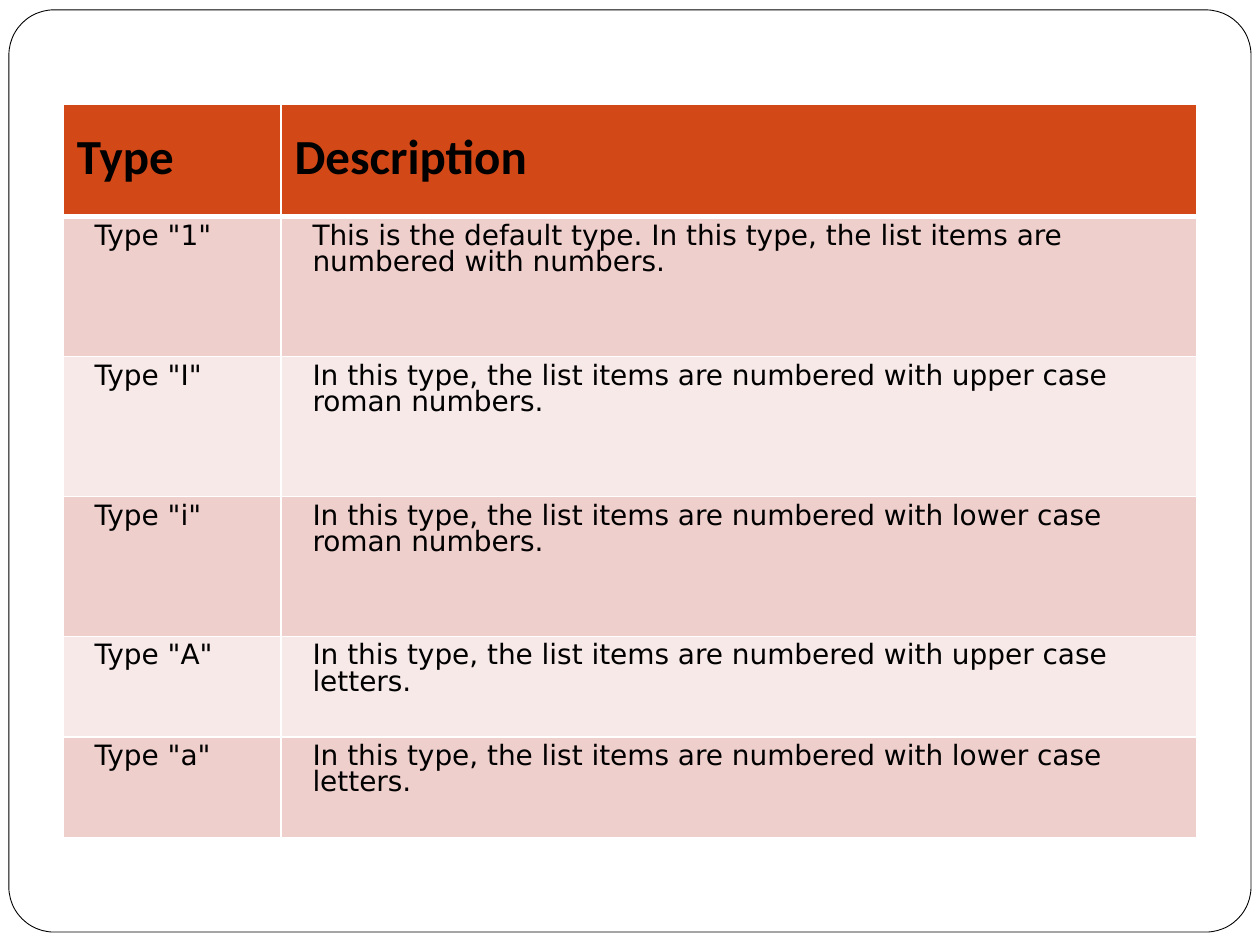
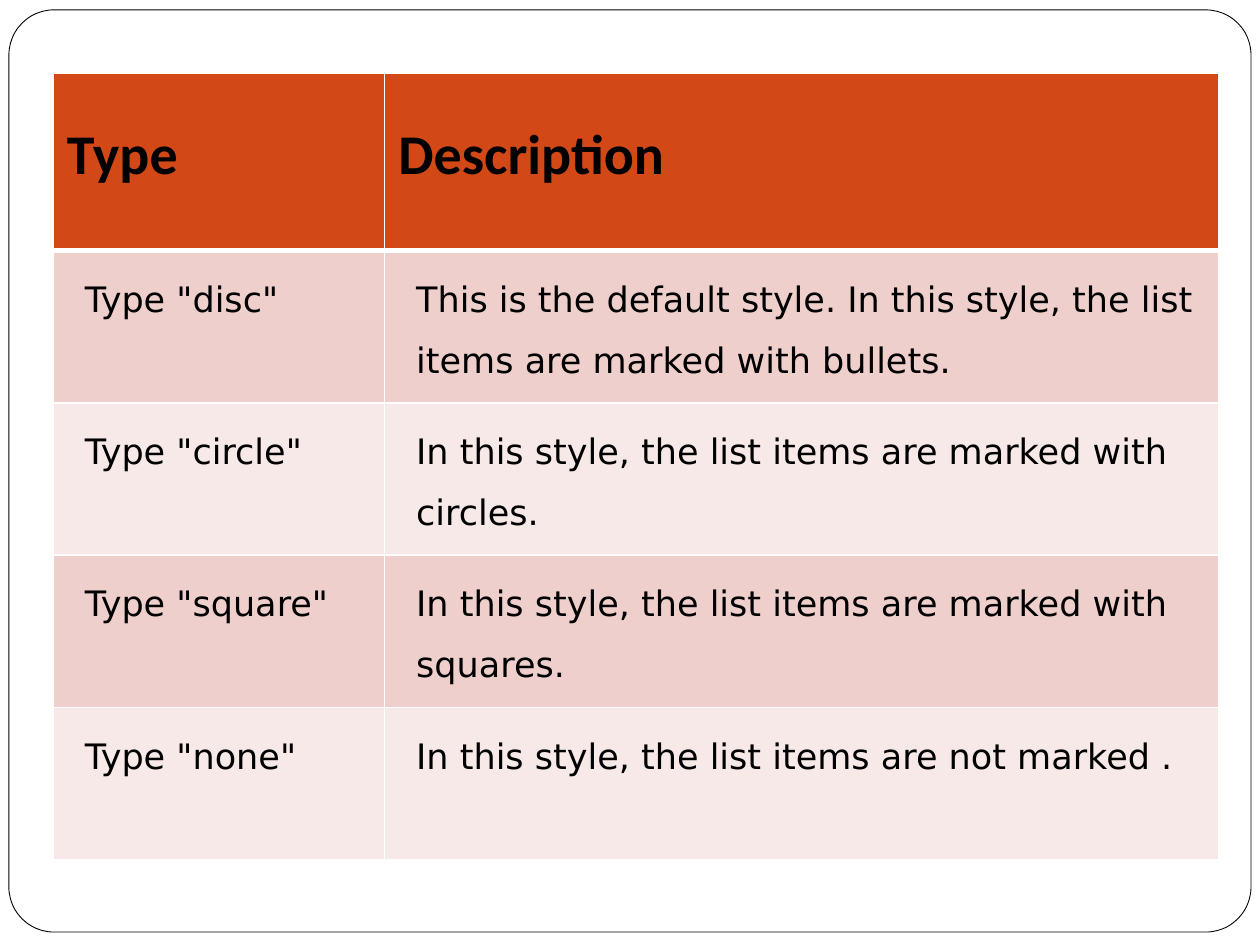
"""Build two slides of tables that describe the types of HTML lists."""
from lxml.etree import SubElement
from pptx import Presentation
from pptx.dml.color import RGBColor
from pptx.enum.shapes import MSO_SHAPE
from pptx.enum.text import MSO_ANCHOR
from pptx.oxml.ns import qn
from pptx.util import Cm, Pt

COLOURS = {"paper": "FFFFFF", "ink": "000000", "header": "D34817",
           "bands": ("EFCFCC", "F7E9E8")}
HEADINGS = ("Type", "Description")
HEADER_INSET, BODY_INSET, BODY_INDENT = Cm(0.28), Cm(0.18), Cm(0.46)
THIN, THICK = Pt(1), Pt(3)


def colour(value):
    """Turn a hex string into a colour."""
    return RGBColor.from_string(value)


def apply(target, values):
    """Set every attribute named in a dict of values."""
    for name, value in values.items():
        setattr(target, name, value)


class ListDeck:
    """Hold the deck, its style and the current slide."""

    def __init__(self):
        """Start an empty deck of the right size."""
        self.deck = Presentation()
        apply(self.deck, {"slide_width": Cm(25.4), "slide_height": Cm(19.05)})
        self.slide = None

    def page(self):
        """Open a new slide with the rounded frame."""
        self.slide = self.deck.slides.add_slide(self.deck.slide_layouts[6])
        frame = self.slide.shapes.add_shape(
            MSO_SHAPE.ROUNDED_RECTANGLE, Cm(0.18), Cm(0.2), Cm(25.04), Cm(18.59))
        frame.adjustments[0] = 0.049
        frame.shadow.inherit = False
        frame.fill.solid()
        frame.fill.fore_color.rgb = colour(COLOURS["paper"])
        frame.line.color.rgb = colour(COLOURS["ink"])
        frame.line.width = Pt(0.5)

    def borders(self, cell, top, bottom):
        """Draw the four white borders of a cell."""
        properties = cell._tc.get_or_add_tcPr()
        widths = {"lnL": THIN, "lnR": THIN, "lnT": top, "lnB": bottom}
        for side, width in widths.items():
            line = SubElement(properties, qn(f"a:{side}"), w=str(width))
            fill = SubElement(line, qn("a:solidFill"))
            SubElement(fill, qn("a:srgbClr"), val=COLOURS["paper"])

    def cell(self, cell, text, fill, inset, font, spacing, indent=0):
        """Fill one table cell with formatted text."""
        sides = ("left", "right", "top", "bottom")
        apply(cell, {f"margin_{side}": inset for side in sides})
        cell.vertical_anchor = MSO_ANCHOR.TOP
        cell.fill.solid()
        cell.fill.fore_color.rgb = colour(fill)
        para = cell.text_frame.paragraphs[0]
        apply(para, {"line_spacing": spacing, "space_after": Pt(10)})
        para._p.get_or_add_pPr().set("marL", str(indent))
        span = para.add_run()
        span.text = text
        apply(span.font, font)
        span.font.color.rgb = colour(COLOURS["ink"])

    def table(self, left, top, widths, heights, entries, sizes, spacings):
        """Add a table with a header row and banded body rows."""
        table = self.slide.shapes.add_table(
            len(heights), len(widths), Cm(left), Cm(top),
            Cm(sum(widths)), Cm(sum(heights))).table
        table.horz_banding = False
        for column, width in zip(table.columns, widths):
            column.width = Cm(width)
        for row, height in zip(table.rows, heights):
            row.height = Cm(height)
        header = {"fill": COLOURS["header"], "inset": HEADER_INSET,
                  "font": {"name": "Calibri", "size": Pt(sizes[0]), "bold": True},
                  "spacing": spacings[0]}
        body = {"inset": BODY_INSET, "indent": BODY_INDENT,
                "font": {"name": "DejaVu Sans", "size": Pt(sizes[1]), "bold": False},
                "spacing": spacings[1]}
        for index, texts in enumerate([HEADINGS, *entries]):
            band = COLOURS["bands"][(index - 1) % 2]
            style = {**body, "fill": band} if index else header
            for column, text in enumerate(texts):
                cell = table.cell(index, column)
                self.borders(cell, THICK if index == 1 else THIN,
                             THIN if index else THICK)
                self.cell(cell, text, **style)


def main():
    """Build and save both slides."""
    book = ListDeck()
    numbered = "In this type, the list items are numbered with"
    book.page()
    book.table(
        1.27, 2.11, (4.39, 18.47), [2.26] + [2.82] * 3 + [2.03] * 2,
        [('Type "1"', "This is the default type. In this type, the list items "
                      "are numbered with numbers."),
         ('Type "I"', f"{numbered} upper case roman numbers."),
         ('Type "i"', f"{numbered} lower case roman numbers."),
         ('Type "A"', f"{numbered} upper case letters."),
         ('Type "a"', f"{numbered} lower case letters.")],
        sizes=(28, 16), spacings=(1.15, Pt(14.9)))

    styled = "In this style, the list items are"
    book.page()
    book.table(
        1.07, 1.47, (6.68, 16.81), [3.58] + [3.07] * 4,
        [('Type "disc"', f"This is the default style. {styled} marked with bullets."),
         ('Type "circle"', f"{styled} marked with circles."),
         ('Type "square"', f"{styled} marked with squares."),
         ('Type "none"', f"{styled} not marked .")],
        sizes=(32, 20), spacings=(1.5, 1.5))
    book.deck.save("out.pptx")


main()
